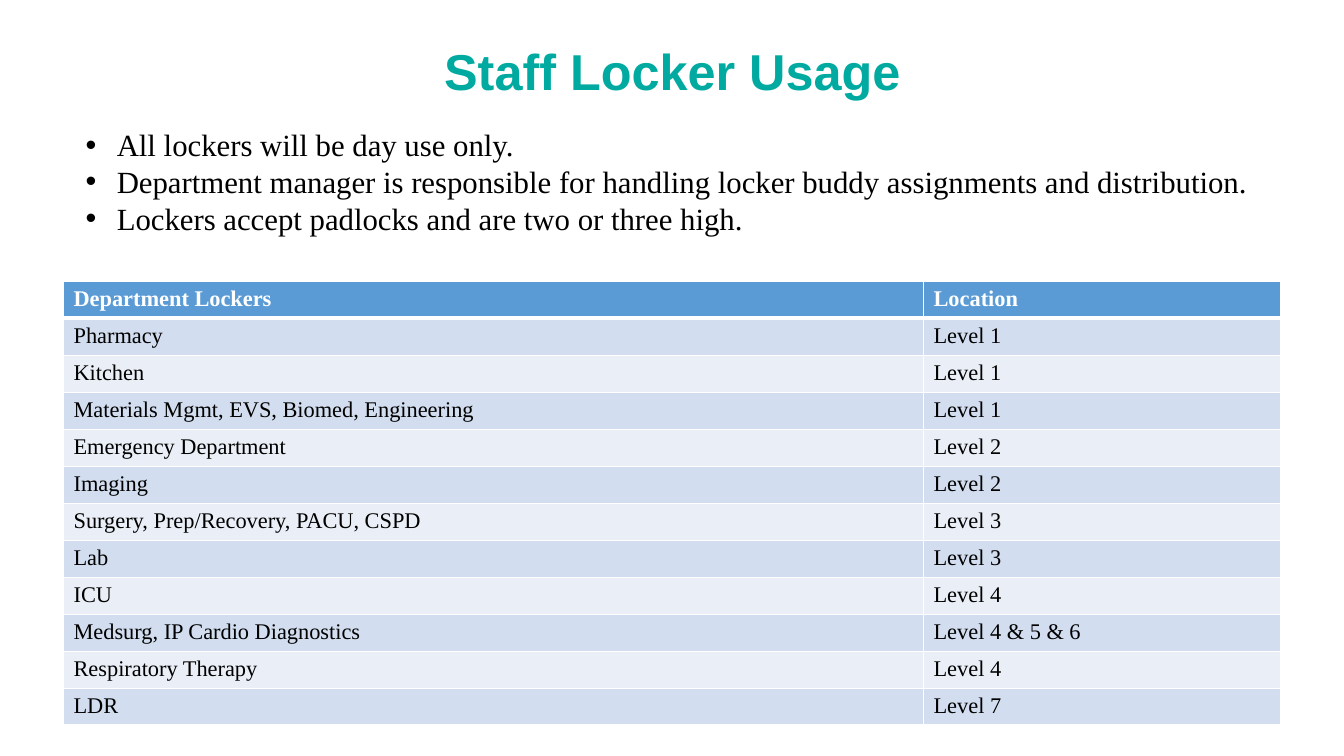
from dataclasses import dataclass

from lxml import etree
from pptx import Presentation
from pptx.dml.color import RGBColor
from pptx.enum import text
from pptx.oxml import ns
from pptx.util import Inches, Pt


@dataclass(frozen=True)
class Theme:
    heading_font: str = "Arial"
    body_font: str = "Times New Roman"
    title_size: int = 36
    rule_size: int = 22
    table_size: int = 16
    teal: str = "00AAA0"
    black: str = "000000"
    white: str = "FFFFFF"
    header_fill: str = "5B9BD5"
    row_fills: tuple = ("D2DEEF", "EAEFF7")


THEME = Theme()
TITLE = "Staff Locker Usage"
RULES = [
    "All lockers will be day use only.",
    "Department manager is responsible for handling locker buddy assignments and distribution.",
    "Lockers accept padlocks and are two or three high.",
]
LOCKERS = [
    ("Department Lockers", "Location"),
    ("Pharmacy", "Level 1"),
    ("Kitchen", "Level 1"),
    ("Materials Mgmt, EVS, Biomed, Engineering", "Level 1"),
    ("Emergency Department", "Level 2"),
    ("Imaging", "Level 2"),
    ("Surgery, Prep/Recovery, PACU, CSPD", "Level 3"),
    ("Lab", "Level 3"),
    ("ICU", "Level 4"),
    ("Medsurg, IP Cardio Diagnostics", "Level 4 & 5 & 6"),
    ("Respiratory Therapy", "Level 4"),
    ("LDR", "Level 7"),
]


def style_runs(paragraph, font_name, size, color, bold=False):
    for run in paragraph.runs:
        run.font.name = font_name
        run.font.size = Pt(size)
        run.font.bold = bold
        run.font.color.rgb = RGBColor.from_string(color)


def add_bullet(paragraph, indent):
    properties = paragraph._p.get_or_add_pPr()
    properties.set("marL", str(indent))
    properties.set("indent", str(-indent))
    etree.SubElement(properties, ns.qn("a:buFont"), typeface="Arial")
    etree.SubElement(properties, ns.qn("a:buChar"), char="•")


def set_border(cell, side, width):
    properties = cell._tc.get_or_add_tcPr()
    border = etree.SubElement(properties, ns.qn(f"a:{side}"), w=str(Pt(width)))
    fill = etree.SubElement(border, ns.qn("a:solidFill"))
    etree.SubElement(fill, ns.qn("a:srgbClr"), val=THEME.white)


def build_title(slide, left, top, width, height):
    frame = slide.shapes.add_textbox(left, top, width, height).text_frame
    frame.word_wrap = True
    frame.vertical_anchor = text.MSO_ANCHOR.MIDDLE
    frame.text = TITLE
    heading = frame.paragraphs[0]
    heading.alignment = text.PP_ALIGN.CENTER
    heading.line_spacing = 0.9
    style_runs(heading, THEME.heading_font, THEME.title_size, THEME.teal, bold=True)


def build_rules(slide, left, top, width, height):
    frame = slide.shapes.add_textbox(left, top, width, height).text_frame
    frame.word_wrap = True
    frame.text = "\n".join(RULES)
    for rule in frame.paragraphs:
        add_bullet(rule, Inches(0.31))
        style_runs(rule, THEME.body_font, THEME.rule_size, THEME.black)


def build_lockers(slide, left, top, width, height):
    lockers = slide.shapes.add_table(
        len(LOCKERS), len(LOCKERS[0]), left, top, width, height
    ).table
    department_width = Inches(8.53)
    lockers.columns[0].width = department_width
    lockers.columns[1].width = width - department_width
    for row_index, entry in enumerate(LOCKERS):
        is_header = row_index == 0
        fill = THEME.header_fill if is_header else THEME.row_fills[(row_index - 1) % 2]
        color = THEME.white if is_header else THEME.black
        for column_index, label in enumerate(entry):
            cell = lockers.cell(row_index, column_index)
            cell.text_frame.text = label
            style_runs(cell.text_frame.paragraphs[0], THEME.body_font,
                       THEME.table_size, color, bold=is_header)
            set_border(cell, "lnL", 1)
            set_border(cell, "lnR", 1)
            set_border(cell, "lnT", 3 if row_index == 1 else 1)
            set_border(cell, "lnB", 3 if is_header else 1)
            cell.fill.solid()
            cell.fill.fore_color.rgb = RGBColor.from_string(fill)


def main():
    deck = Presentation()
    deck.slide_width = Inches(13.33)
    deck.slide_height = Inches(7.5)
    slide = deck.slides.add_slide(deck.slide_layouts[6])
    build_title(slide, Inches(0.92), Inches(0.4), Inches(11.5), Inches(0.67))
    build_rules(slide, Inches(0.75), Inches(1.2), Inches(11.95), Inches(2.32))
    build_lockers(slide, Inches(0.63), Inches(2.79), Inches(12.07), Inches(4.4))
    deck.save("out.pptx")


if __name__ == "__main__":
    main()
